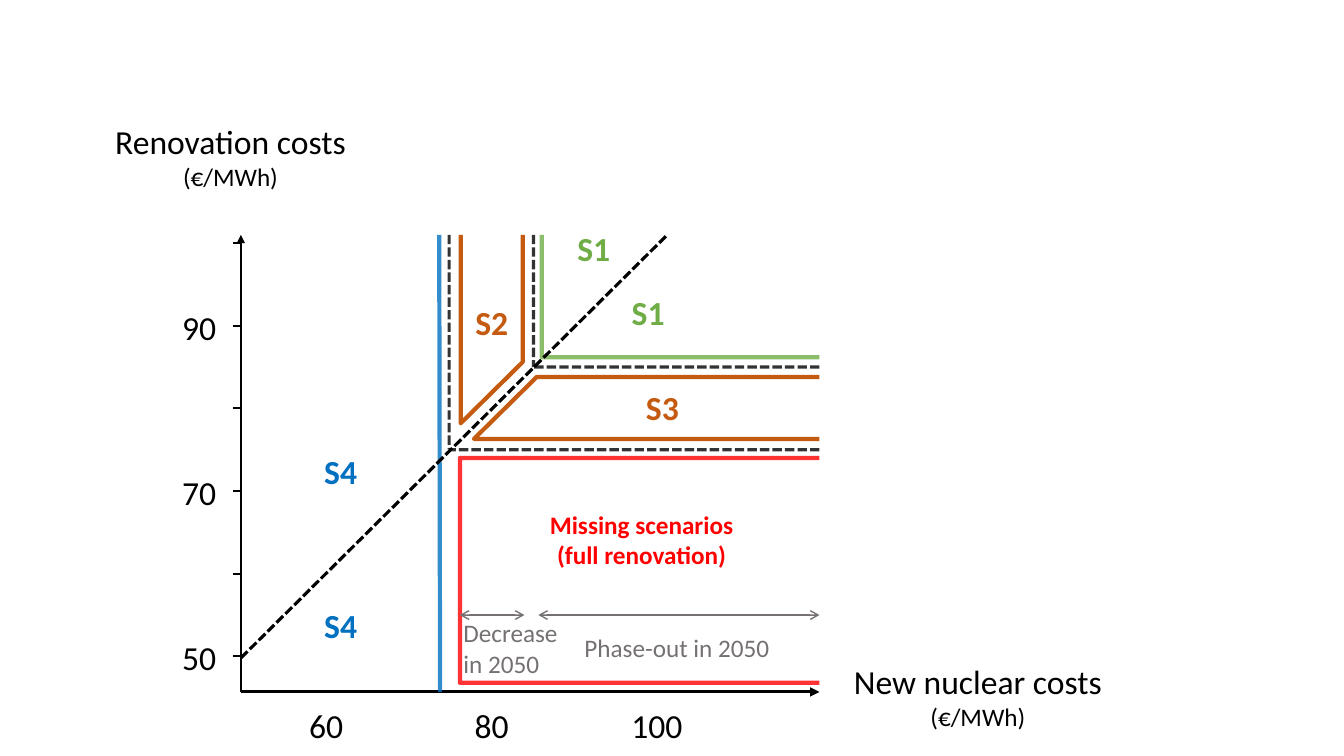
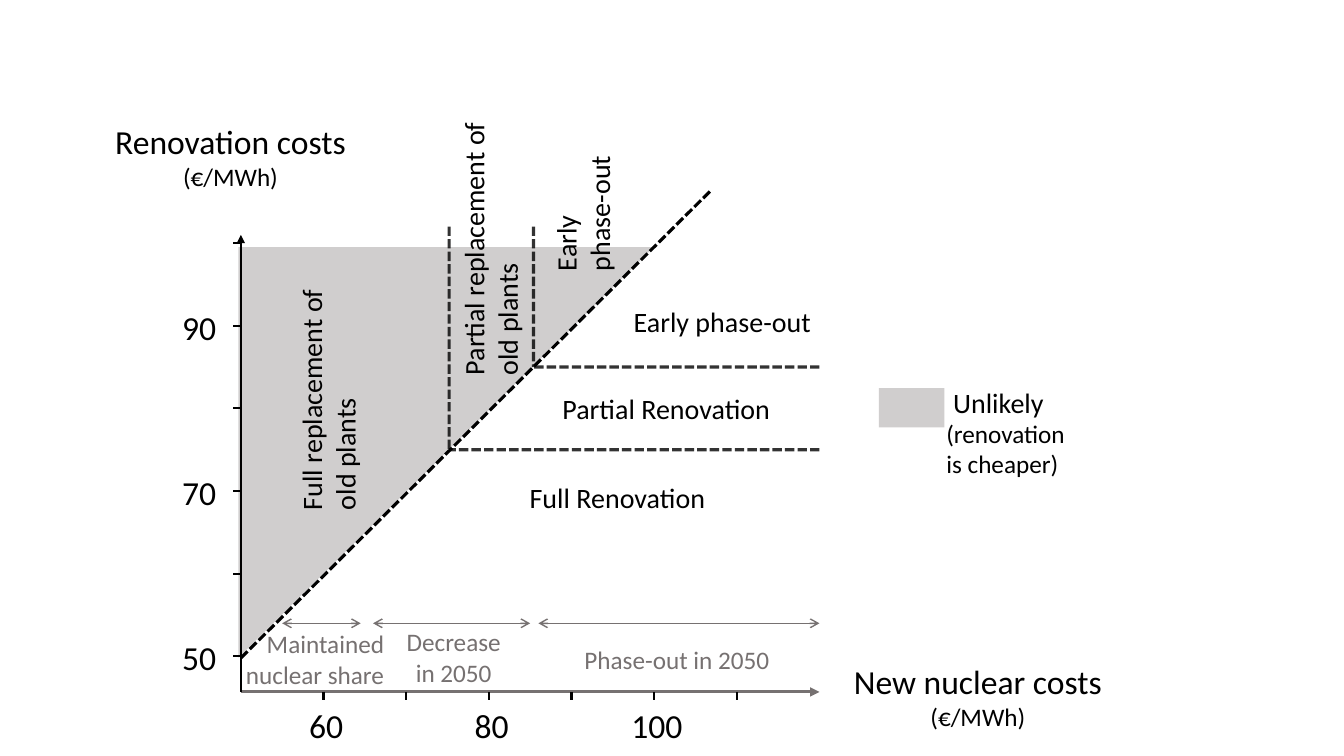
from dataclasses import dataclass

from lxml.etree import SubElement
from pptx import Presentation
from pptx.dml.color import RGBColor
from pptx.enum.dml import MSO_LINE
from pptx.enum.shapes import MSO_CONNECTOR, MSO_SHAPE
from pptx.enum.text import PP_ALIGN
from pptx.oxml.ns import qn
from pptx.util import Cm, Pt


@dataclass(frozen=True)
class Theme:
    font: str = "Calibri"
    black: str = "000000"
    grey: str = "767171"
    shade: str = "D0CECE"
    green: str = "70AD47"
    blue: str = "0070C0"
    orange: str = "C55A11"
    red: str = "FF0000"
    large: int = 24
    medium: int = 20
    small: int = 18
    outline: float = 3
    rule: float = 2.25
    tick: float = 1.5
    span: float = 1


T = Theme()

# Plot scale: both axes run in €/MWh from 50
ORIGIN_X, ORIGIN_Y, UNIT = 6.07, 16.54, 0.21 - 0.0017
LEFT, RIGHT, BOTTOM, TOP = 50, 120, 45.7, 101
TICK = 0.2
DIVIDERS = ((75.2, 75), (85.4, 85))


def px(cost):
    return ORIGIN_X + (cost - 50) * UNIT


def py(cost):
    return ORIGIN_Y - (cost - 50) * UNIT


def rgb(color):
    return RGBColor.from_string(color)


def style_line(shape, color, width, dash=False, alpha=None, head=None, tail=None):
    shape.line.color.rgb = rgb(color)
    shape.line.width = Pt(width)
    if dash:
        shape.line.dash_style = MSO_LINE.SQUARE_DOT
    spPr = shape.element.spPr
    ln = spPr.find(qn("a:ln"))
    if alpha:
        clr = next(ln.iter(qn("a:srgbClr")))
        SubElement(clr, qn("a:alpha")).set("val", str(alpha * 1000))
    for tag, kind in (("a:headEnd", head), ("a:tailEnd", tail)):
        if kind:
            SubElement(ln, qn(tag)).set("type", kind)
    SubElement(spPr, qn("a:effectLst"))


def line(s, x1, y1, x2, y2, color=T.black, width=T.rule, **fmt):
    """Straight line between two points given in centimetres."""
    c = s.shapes.add_connector(MSO_CONNECTOR.STRAIGHT, Cm(x1), Cm(y1), Cm(x2), Cm(y2))
    style_line(c, color, width, **fmt)


def plot_line(s, x1, y1, x2, y2, **fmt):
    """Straight line between two points given in plot costs."""
    line(s, px(x1), py(y1), px(x2), py(y2), **fmt)


def outline(s, points, color, alpha=None):
    """Open border of a scenario region, in plot costs."""
    pts = [(Cm(px(x)), Cm(py(y))) for x, y in points]
    fb = s.shapes.build_freeform(*pts[0])
    fb.add_line_segments(pts[1:], close=False)
    sp = fb.convert_to_shape()
    sp.fill.background()
    style_line(sp, color, T.outline, alpha=alpha)


def shaded(s, kind, x, y, w, h, rotation=0):
    sp = s.shapes.add_shape(kind, Cm(x), Cm(y), Cm(w), Cm(h))
    sp.rotation = rotation
    sp.shadow.inherit = False
    sp.fill.solid()
    sp.fill.fore_color.rgb = rgb(T.shade)
    sp.line.fill.background()


def text(s, words, x, y, w, h, size=T.large, color=T.black, bold=False,
         align=PP_ALIGN.LEFT, wrap=False, rotation=0, next_size=None):
    """Text box with one paragraph a line; next_size sets the later lines."""
    sp = s.shapes.add_textbox(Cm(x), Cm(y), Cm(w), Cm(h))
    sp.rotation = rotation
    tf = sp.text_frame
    tf.word_wrap = wrap
    for i, words_line in enumerate(words.split("\n")):
        p = tf.add_paragraph() if i else tf.paragraphs[0]
        p.alignment = align
        r = p.add_run()
        r.text = words_line
        r.font.name = T.font
        r.font.size = Pt(next_size if i and next_size else size)
        r.font.bold = bold
        r.font.color.rgb = rgb(color)


def axes(s, x_color=T.black):
    plot_line(s, LEFT, BOTTOM, RIGHT, BOTTOM, color=x_color, tail="triangle")
    plot_line(s, LEFT, BOTTOM, LEFT, TOP, width=T.tick, tail="triangle")
    for cost in range(50, 101, 10):
        line(s, px(LEFT), py(cost), px(LEFT) - TICK, py(cost), width=T.tick)
    for cost in (50, 70, 90):
        text(s, str(cost), 4.34, py(cost) - 0.61, 1.37, 1.27)
    for cost in (60, 80, 100):
        text(s, str(cost), px(cost) - 0.83, 17.63, 1.8, 1.27, align=PP_ALIGN.CENTER)
    for title, x, y, w in (("Renovation costs", 2.57, 2.92, 6.48),
                           ("New nuclear costs", 21.23, 16.54, 6.83)):
        text(s, title + "\n(€/MWh)", x, y, w, 2.06, align=PP_ALIGN.CENTER,
             next_size=T.small)


def dividers(s, top):
    for x, y in DIVIDERS:
        plot_line(s, x, top, x, y, dash=True, alpha=80)
        plot_line(s, RIGHT, y, x, y, dash=True, alpha=80)


def diagonal(s, x, y):
    plot_line(s, LEFT, 49.8, x, y, dash=True)


def spans(s, y, ranges):
    for x1, x2 in ranges:
        plot_line(s, x1, y, x2, y, color=T.grey, width=T.span,
                  head="arrow", tail="arrow")


def scenarios_slide(s):
    axes(s)
    outline(s, [(86.4, TOP), (86.4, 86.2), (RIGHT, 86.2)], T.green, 80)
    outline(s, [(74, TOP), (74.1, BOTTOM)], T.blue, 80)
    dividers(s, TOP)
    diagonal(s, 101.6, TOP)
    outline(s, [(RIGHT, 74), (76.5, 74), (76.5, 46.8), (RIGHT, 46.8)], T.red, 80)
    outline(s, [(76.6, TOP), (76.6, 78.2), (84.1, 85.6), (84.1, TOP)], T.orange)
    outline(s, [(RIGHT, 83.8), (85.8, 83.8), (78.2, 76.3), (RIGHT, 76.3)], T.orange)
    for name, x, y, color in (("S1", 15.67, 7.24, T.green), ("S1", 14.3, 5.61, T.green),
                              ("S2", 11.73, 7.49, T.orange), ("S3", 16.03, 9.63, T.orange),
                              ("S4", 7.92, 11.23, T.blue), ("S4", 7.92, 15.11, T.blue)):
        text(s, name, x, y, 1.35, 1.27, color=color, bold=True)
    text(s, "Missing scenarios\n(full renovation)", 13.49, 12.7, 5.36, 2.57,
         size=T.small, color=T.red, bold=True, align=PP_ALIGN.CENTER)
    spans(s, 55, [(76.5, 84.3), (86, RIGHT)])
    text(s, "Decrease\nin 2050", 11.43, 15.44, 3.05, 1.8, size=T.small, color=T.grey)
    text(s, "Phase-out in 2050", 14.48, 15.82, 5.23, 1.02, size=T.small, color=T.grey)


def strategies_slide(s):
    shaded(s, MSO_SHAPE.RIGHT_TRIANGLE, 6.07, 6.17, 10.34, 10.46, rotation=90)
    axes(s, x_color=T.grey)
    for cost in range(60, 111, 10):
        line(s, px(cost), py(BOTTOM), px(cost), py(BOTTOM) + TICK, width=T.tick)
    dividers(s, 102)
    diagonal(s, 107, 106.5)
    for words, x, y, w, align in (
            ("Early phase-out", 15.72, 7.54, 5.87, PP_ALIGN.LEFT),
            ("Partial Renovation", 12.93, 9.73, 7.72, PP_ALIGN.CENTER),
            ("Full Renovation", 12.45, 11.99, 6.22, PP_ALIGN.CENTER),
            ("Unlikely", 23.77, 9.6, 3.25, PP_ALIGN.LEFT)):
        text(s, words, x, y, w, 1.12, size=T.medium, align=align, wrap=True)
    for words, x, y, w in (("Full replacement of old plants", 5, 8.86, 6.53),
                           ("Partial replacement of old plants", 8.53, 4.9, 7.65),
                           ("Early\nphase-out", 12.85, 4.27, 3.66)):
        text(s, words, x, y, w, 1.96, size=T.medium, wrap=True, rotation=270)
    spans(s, 54, [(55, 64.5), (66, 85), (86, RIGHT)])
    for words, x, y, w, align in (
            ("Maintained nuclear share", 5.33, 15.72, 4.6, PP_ALIGN.RIGHT),
            ("Decrease\nin 2050", 9.91, 15.67, 3.05, PP_ALIGN.CENTER),
            ("Phase-out in 2050", 14.48, 16.1, 5.23, PP_ALIGN.LEFT)):
        text(s, words, x, y, w, 1.8, size=T.small, color=T.grey, align=align, wrap=True)
    shaded(s, MSO_SHAPE.RECTANGLE, 22.15, 9.78, 1.65, 0.99)
    text(s, "(renovation\nis cheaper)", 23.6, 10.41, 3.68, 1.8, size=T.small)


def main():
    prs = Presentation()
    prs.slide_width, prs.slide_height = Cm(33.87), Cm(19.05)
    blank = prs.slide_layouts[6]
    for build in (scenarios_slide, strategies_slide):
        build(prs.slides.add_slide(blank))
    prs.save("out.pptx")


if __name__ == "__main__":
    main()
